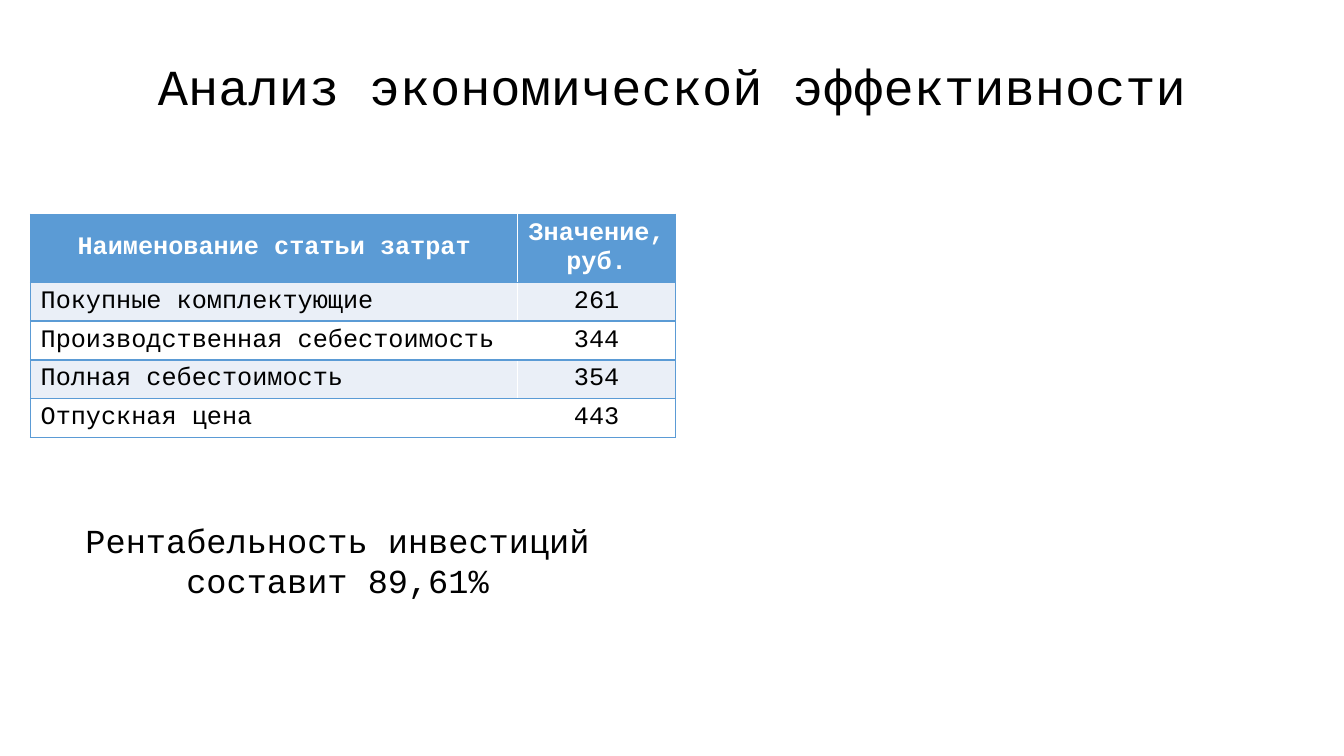
from lxml import etree
from pptx import Presentation
from pptx import util as u
from pptx.dml.color import RGBColor
from pptx.enum import text
from pptx.oxml import ns

FONT = "Courier New"
COLOURS = {"ink": "000000", "accent": "5B9BD5", "band": "EAEFF7", "paper": "FFFFFF"}
COSTS = [
    ("Наименование статьи затрат", "Значение, руб."),
    ("Покупные комплектующие", "261"),
    ("Производственная себестоимость", "344"),
    ("Полная себестоимость", "354"),
    ("Отпускная цена", "443"),
]
CONCLUSION = ["Рентабельность инвестиций", "составит 89,61%"]


def colour(name):
    return RGBColor.from_string(COLOURS[name])


def write(paragraph, words, size, ink="ink", bold=False, align=text.PP_ALIGN.CENTER):
    paragraph.alignment = align
    run = paragraph.add_run()
    run.text = words
    run.font.name = FONT
    run.font.size = u.Pt(size)
    run.font.bold = bold
    run.font.color.rgb = colour(ink)


def draw_borders(cell, sides):
    properties = cell._tc.get_or_add_tcPr()
    for side in sides:
        line = etree.SubElement(properties, ns.qn(f"a:ln{side}"), w=str(u.Pt(1)))
        fill = etree.SubElement(line, ns.qn("a:solidFill"))
        etree.SubElement(fill, ns.qn("a:srgbClr"), val=COLOURS["accent"])


def add_heading(slide, left, top, width, height):
    heading = slide.shapes.title
    heading.left, heading.top, heading.width, heading.height = left, top, width, height
    frame = heading.text_frame
    frame.auto_size = text.MSO_AUTO_SIZE.NONE
    frame.vertical_anchor = text.MSO_ANCHOR.MIDDLE
    frame.paragraphs[0].line_spacing = 0.9
    write(frame.paragraphs[0], "Анализ экономической эффективности", 36)


def add_costs(slide, left, top, width, height):
    costs = slide.shapes.add_table(len(COSTS), 2, left, top, width, height).table
    costs.horz_banding = False
    costs.columns[0].width = u.Cm(12.28)
    costs.columns[1].width = width - costs.columns[0].width
    body_height = u.Cm(0.98)
    for row in costs.rows:
        row.height = body_height
    costs.rows[0].height = height - body_height * (len(COSTS) - 1)

    for r, entry in enumerate(COSTS):
        header = r == 0
        background = "accent" if header else ("paper", "band")[r % 2]
        for c, words in enumerate(entry):
            cell = costs.cell(r, c)
            draw_borders(cell, ("LTB", "RTB")[c])
            cell.fill.solid()
            cell.fill.fore_color.rgb = colour(background)
            cell.vertical_anchor = text.MSO_ANCHOR.MIDDLE if header else text.MSO_ANCHOR.TOP
            centred = header or c == 1
            write(cell.text_frame.paragraphs[0], words, 18,
                  "paper" if header else "ink", header,
                  text.PP_ALIGN.CENTER if centred else text.PP_ALIGN.LEFT)


def add_conclusion(slide, left, top, width, height):
    frame = slide.shapes.add_textbox(left, top, width, height).text_frame
    frame.word_wrap = True
    frame.auto_size = text.MSO_AUTO_SIZE.SHAPE_TO_FIT_TEXT
    for i, words in enumerate(CONCLUSION):
        write(frame.add_paragraph() if i else frame.paragraphs[0], words, 24)


def main():
    deck = Presentation()
    deck.slide_width, deck.slide_height = u.Cm(33.87), u.Cm(19.05)
    slide = deck.slides.add_slide(deck.slide_layouts[5])
    add_heading(slide, u.Cm(2.33), u.Cm(0.41), u.Cm(29.21), u.Cm(3.68))
    add_costs(slide, u.Cm(0.77), u.Cm(5.4), u.Cm(16.25), u.Cm(5.63))
    add_conclusion(slide, u.Cm(0.38), u.Cm(12.98), u.Cm(16.25), u.Cm(2.31))
    deck.save("out.pptx")


if __name__ == "__main__":
    main()
